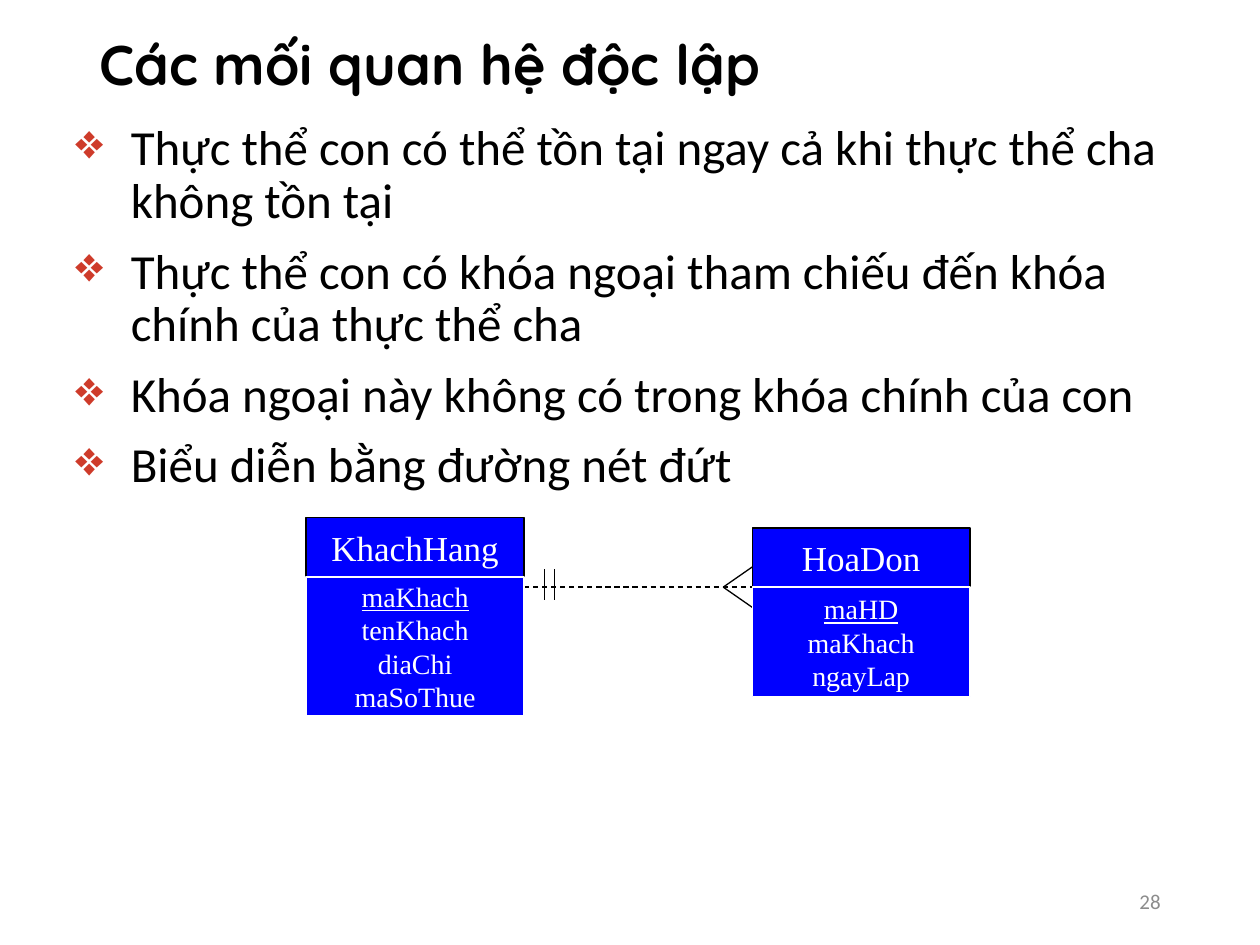
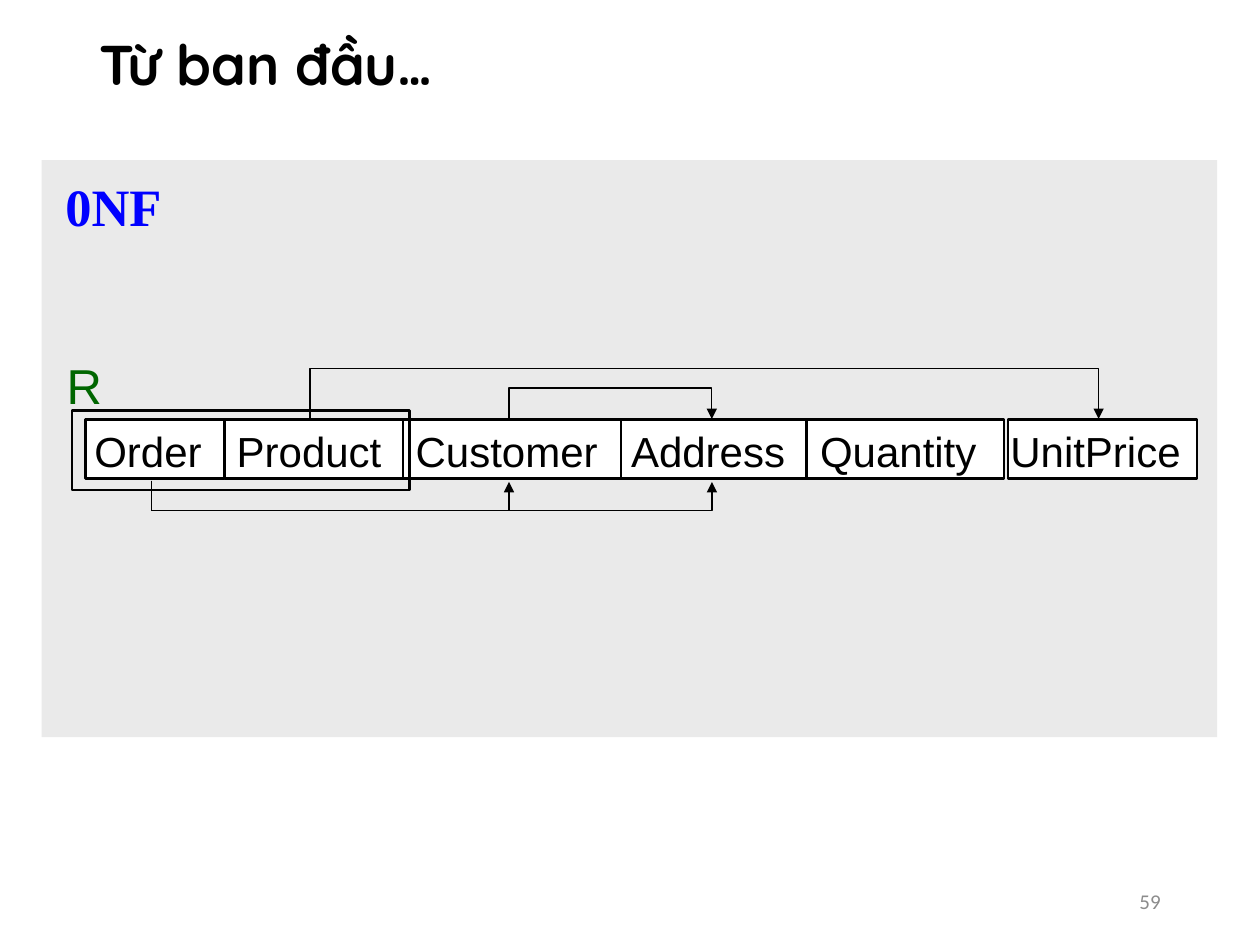
from dataclasses import dataclass

import pptx
import pptx.dml.color
import pptx.enum.dml
import pptx.enum.shapes
import pptx.enum.text
import pptx.oxml
import pptx.oxml.ns
import pptx.util
from pptx.util import Inches

ALIGN = pptx.enum.text.PP_ALIGN
ANCHOR = pptx.enum.text.MSO_ANCHOR
CONNECTOR = pptx.enum.shapes.MSO_CONNECTOR

BLACK, WHITE, BLUE = "000000", "FFFFFF", "0000FF"
BULLET_RED, PANEL_GREY, NUMBER_GREY, GREEN = "CE3B2A", "EAEAEA", "8C8C8C", "006600"

ROW_TOP, ROW_HEIGHT = 3.33, 0.47
LABELS_LEFT, LABEL_INSET = 0.65, 0.1


@dataclass(frozen=True)
class Style:
    font: str
    size: float
    color: str = BLACK
    bold: bool = False


@dataclass(frozen=True)
class Entity:
    name: str
    fields: tuple[str, ...]  # the first field is the key
    left: float
    top: float
    body_height: float


@dataclass(frozen=True)
class Attribute:
    name: str
    left: float
    width: float
    text_left: float


@dataclass(frozen=True)
class Dependency:
    start: float
    end: float
    y: float
    depth: float  # positive runs below the row, negative above


TITLE = Style("Quicksand", 32, bold=True)
BODY = Style("Calibri", 28)
PAGE_NUMBER = Style("Calibri", 12, NUMBER_GREY)
ENTITY_NAME = Style("Times New Roman", 20, WHITE)
ENTITY_FIELD = Style("Times New Roman", 16, WHITE)
ATTRIBUTE = Style("Arial", 24)
RELATION = Style("Arial", 28, GREEN)
NORMAL_FORM = Style("Times New Roman", 30, BLUE, bold=True)

BULLETS = (
    "Thực thể con có thể tồn tại ngay cả khi thực thể cha không tồn tại",
    "Thực thể con có khóa ngoại tham chiếu đến khóa chính của thực thể cha",
    "Khóa ngoại này không có trong khóa chính của con",
    "Biểu diễn bằng đường nét đứt",
)
ENTITIES = (
    Entity("KhachHang", ("maKhach", "tenKhach", "diaChi", "maSoThue"), 2.43, 4.11, 1.1),
    Entity("HoaDon", ("maHD", "maKhach", "ngayLap"), 5.97, 4.19, 0.87),
)
ATTRIBUTES = (
    Attribute("Order", 0.68, 1.1, 0.75),
    Attribute("Product", 1.78, 1.42, 1.88),
    Attribute("Customer", 3.2, 1.73, 3.3),
    Attribute("Address", 4.93, 1.5, 5.01),
    Attribute("Quantity", 6.4, 1.57, 6.51),
    Attribute("UnitPrice", 8, 1.5, 8.02),
)
DEPENDENCIES = (
    Dependency(1.2, 4.04, 3.82, 0.24),
    Dependency(1.2, 5.65, 3.82, 0.24),
    Dependency(4.04, 5.65, 3.32, -0.24),
    Dependency(2.46, 8.72, 3.32, -0.4),
)


def rgb(value: str):
    return pptx.dml.color.RGBColor.from_string(value)


def add_xml(parent, tag: str, **attributes: str):
    """Append an empty DrawingML element to parent."""
    el = pptx.oxml.parse_xml(f"<a:{tag} {pptx.oxml.ns.nsdecls('a')}/>")
    for name, value in attributes.items():
        el.set(name, value)
    parent.append(el)
    return el


def add_run(p, text: str, style: Style, underline: bool = False):
    r = p.add_run()
    r.text = text
    r.font.name = style.font
    r.font.size = pptx.util.Pt(style.size)
    r.font.bold = style.bold
    r.font.underline = underline
    r.font.color.rgb = rgb(style.color)


def add_text(slide, box, text: str, style: Style, align=ALIGN.LEFT,
             anchor=ANCHOR.TOP, wrap: bool = True):
    sp = slide.shapes.add_textbox(*map(Inches, box))
    tf = sp.text_frame
    tf.word_wrap = wrap
    tf.vertical_anchor = anchor
    p = tf.paragraphs[0]
    p.alignment = align
    add_run(p, text, style)
    return tf


def add_box(slide, box, fill: str | None, line: str | None = None, width: float = 1.5):
    sp = slide.shapes.add_shape(pptx.enum.shapes.MSO_SHAPE.RECTANGLE, *map(Inches, box))
    sp.shadow.inherit = False
    if fill:
        sp.fill.solid()
        sp.fill.fore_color.rgb = rgb(fill)
    else:
        sp.fill.background()
    if line:
        sp.line.color.rgb = rgb(line)
        sp.line.width = pptx.util.Pt(width)
    else:
        sp.line.fill.background()
    return sp


def add_line(slide, x1: float, y1: float, x2: float, y2: float,
             kind=CONNECTOR.STRAIGHT, dashed: bool = False, arrow: bool = False):
    cxn = slide.shapes.add_connector(kind, *map(Inches, (x1, y1, x2, y2)))
    cxn.line.color.rgb = rgb(BLACK)
    cxn.line.width = pptx.util.Pt(0.75)
    if dashed:
        cxn.line.dash_style = pptx.enum.dml.MSO_LINE.DASH
    sp_pr = cxn._element.spPr
    if arrow:
        add_xml(sp_pr.find(pptx.oxml.ns.qn("a:ln")), "tailEnd", type="triangle")
    add_xml(sp_pr, "effectLst")
    return cxn


def add_dependency(slide, dep: Dependency):
    """Draw a U-shaped arrow: an elbow connector turned by a quarter."""
    thin = 0.01
    center, span = (dep.start + dep.end) / 2, dep.end - dep.start
    cxn = add_line(slide, center - thin / 2, dep.y - span / 2,
                   center + thin / 2, dep.y + span / 2, CONNECTOR.ELBOW, arrow=True)
    degrees, flip = (270, "flipH") if dep.depth > 0 else (90, "flipV")
    sp_pr = cxn._element.spPr
    xfrm = sp_pr.find(pptx.oxml.ns.qn("a:xfrm"))
    xfrm.set("rot", str(degrees * 60000))
    xfrm.set(flip, "1")
    guides = next(sp_pr.iter(pptx.oxml.ns.qn("a:avLst")))
    add_xml(guides, "gd", name="adj1", fmla=f"val {round(dep.depth / thin * 100000)}")


def add_bullets(slide, box, items):
    tf = add_text(slide, box, items[0], BODY)
    for item in items[1:]:
        p = tf.add_paragraph()
        p.space_before = pptx.util.Pt(10)
        add_run(p, item, BODY)
    for p in tf.paragraphs:
        p.line_spacing = 0.9
        p_pr = p._p.get_or_add_pPr()
        p_pr.set("marL", str(Inches(0.44)))
        p_pr.set("indent", str(-Inches(0.44)))
        add_xml(add_xml(p_pr, "buClr"), "srgbClr", val=BULLET_RED)
        add_xml(p_pr, "buChar", char="❖")


def add_entity(slide, entity: Entity):
    width, head = 1.73, 0.47
    parts = (
        (entity.top, head, BLACK, ENTITY_NAME, (entity.name,)),
        (entity.top + head, entity.body_height, WHITE, ENTITY_FIELD, entity.fields),
    )
    for top, height, line, style, texts in parts:
        sp = add_box(slide, (entity.left, top, width, height), BLUE, line, 0.75)
        tf = sp.text_frame
        tf.word_wrap = False
        tf.vertical_anchor = ANCHOR.MIDDLE
        for i, text in enumerate(texts):
            p = tf.add_paragraph() if i else tf.paragraphs[0]
            p.alignment = ALIGN.CENTER
            add_run(p, text, style, underline=style is ENTITY_FIELD and i == 0)


def add_attribute_row(slide):
    for attr in ATTRIBUTES:
        add_box(slide, (attr.left, ROW_TOP, attr.width, ROW_HEIGHT), WHITE, BLACK)
    labels = "\t".join(attr.name for attr in ATTRIBUTES)
    tf = add_text(slide, (LABELS_LEFT, ROW_TOP, 8.85, 0.5), labels, ATTRIBUTE)
    tf.margin_right = 0
    tabs = add_xml(tf.paragraphs[0]._p.get_or_add_pPr(), "tabLst")
    for attr in ATTRIBUTES[1:]:
        position = Inches(attr.text_left - LABELS_LEFT - LABEL_INSET)
        add_xml(tabs, "tab", pos=str(position), algn="l")


def add_slide(prs, title: str, number: int):
    s = prs.slides.add_slide(prs.slide_layouts[6])
    tf = add_text(s, (0.69, 0.13, 8.62, 0.81), title, TITLE, anchor=ANCHOR.MIDDLE)
    tf.paragraphs[0].line_spacing = 0.9
    add_text(s, (7.06, 6.95, 2.25, 0.4), str(number), PAGE_NUMBER,
             ALIGN.RIGHT, ANCHOR.MIDDLE)
    return s


def build_relationship_slide(prs):
    s = add_slide(prs, "Các mối quan hệ độc lập", 28)
    add_bullets(s, (0.5, 0.93, 9.17, 5.77), BULLETS)
    axis, child_left, foot_tip = 4.66, 5.97, 5.74
    add_line(s, 4.16, axis, 6.05, axis, dashed=True)
    for toe in (axis - 0.16, axis + 0.16):
        add_line(s, foot_tip, axis, child_left, toe)
    for x in (4.32, 4.4):
        add_line(s, x, 4.52, x, 4.76)
    for entity in ENTITIES:
        add_entity(s, entity)


def build_normal_form_slide(prs):
    s = add_slide(prs, "Từ ban đầu…", 59)
    add_box(s, (0.33, 1.27, 9.33, 4.58), PANEL_GREY)
    add_attribute_row(s)
    for dep in DEPENDENCIES:
        add_dependency(s, dep)
    add_box(s, (0.57, 3.26, 2.68, 0.63), None, BLACK)
    add_text(s, (0.43, 2.77, 0.48, 0.57), "R", RELATION, wrap=False)
    add_text(s, (0.42, 1.33, 0.97, 0.61), "0NF", NORMAL_FORM, wrap=False)


def main():
    prs = pptx.Presentation()
    prs.slide_width, prs.slide_height = Inches(10), Inches(7.5)
    build_relationship_slide(prs)
    build_normal_form_slide(prs)
    prs.save("out.pptx")


if __name__ == "__main__":
    main()
